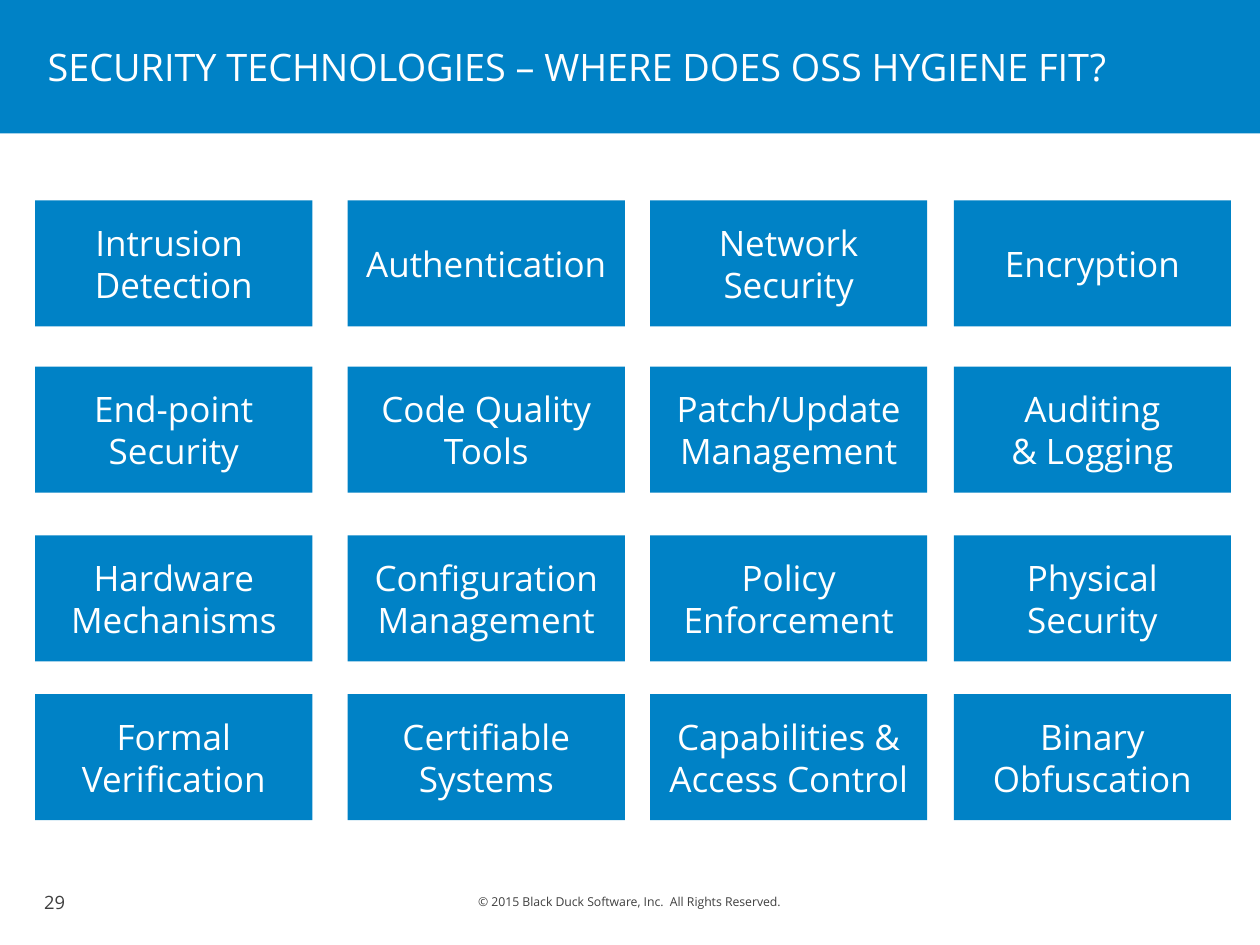
from pptx import Presentation
from pptx.dml.color import RGBColor
from pptx.enum.shapes import MSO_SHAPE
from pptx.enum.text import MSO_ANCHOR, PP_ALIGN
from pptx.util import Inches, Pt

COLORS = {"blue": "0082C6", "white": "FFFFFF", "gray": "3F3F3F"}
FONT = "Open Sans"
INSET = 0.04

# Technologies row by row; a line break starts a new paragraph
TECHNOLOGIES = [
    ["Intrusion \nDetection", "Authentication", "Network\nSecurity", "Encryption"],
    ["End-point\nSecurity", "Code Quality\nTools", "Patch/Update\nManagement",
     "Auditing\n& Logging"],
    ["Hardware\nMechanisms", "Configuration\nManagement", "Policy\nEnforcement",
     "Physical\nSecurity"],
    ["Formal\nVerification", "Certifiable\nSystems", "Capabilities &\nAccess Control",
     "Binary\nObfuscation"],
]
# Offsets of the columns and rows inside the grid; the gaps are uneven
COLUMN_OFFSETS = [0, 2.48, 4.88, 7.29]
ROW_OFFSETS = [0, 1.32, 2.66, 3.92]
TILE_WIDTH, TILE_HEIGHT = 2.2, 1


def color(name):
    return RGBColor.from_string(COLORS[name])


def write(shape, text, size, ink, align=PP_ALIGN.LEFT, anchor=MSO_ANCHOR.TOP,
          wrap=True, inset_x=INSET, inset_y=INSET):
    frame = shape.text_frame
    frame_format = {
        "word_wrap": wrap, "vertical_anchor": anchor,
        "margin_left": Inches(inset_x), "margin_right": Inches(inset_x),
        "margin_top": Inches(inset_y), "margin_bottom": Inches(inset_y),
    }
    for attribute, value in frame_format.items():
        setattr(frame, attribute, value)
    frame.text = text
    for paragraph in frame.paragraphs:
        paragraph.alignment = align
        for attribute, value in {"name": FONT, "size": Pt(size)}.items():
            setattr(paragraph.font, attribute, value)
        paragraph.font.color.rgb = color(ink)


def add_block(slide, left, top, width, height):
    block = slide.shapes.add_shape(MSO_SHAPE.RECTANGLE, Inches(left), Inches(top),
                                   Inches(width), Inches(height))
    block.shadow.inherit = False
    block.fill.solid()
    block.fill.fore_color.rgb = color("blue")
    block.line.fill.background()
    return block


def add_label(slide, left, top, width, height, *text_args, **text_format):
    label = slide.shapes.add_textbox(Inches(left), Inches(top),
                                     Inches(width), Inches(height))
    write(label, *text_args, **text_format)


def add_header(slide, left, top, width, height):
    add_block(slide, left, top, width, height)
    add_label(slide, left + 0.28, top + 0.21, width - 0.71, 0.63,
              "SECURITY TECHNOLOGIES – WHERE DOES OSS HYGIENE FIT?", 21.6, "white",
              anchor=MSO_ANCHOR.MIDDLE, inset_x=0.1, inset_y=0.05)


def add_technology_grid(slide, left, top):
    for row_offset, row in zip(ROW_OFFSETS, TECHNOLOGIES):
        for column_offset, technology in zip(COLUMN_OFFSETS, row):
            tile = add_block(slide, left + column_offset, top + row_offset,
                             TILE_WIDTH, TILE_HEIGHT)
            write(tile, technology, 20, "white", align=PP_ALIGN.CENTER,
                  anchor=MSO_ANCHOR.MIDDLE, wrap=False)


def add_footer(slide, left, top):
    # Page number and copyright line
    add_label(slide, left, top, 1.65, 0.31, "29", 10.5, "gray")
    add_label(slide, left + 2.64, top + 0.03, 4.09, 0.24,
              "© 2015 Black Duck Software, Inc.  All Rights Reserved.", 7, "gray",
              align=PP_ALIGN.CENTER)


def main():
    presentation = Presentation()
    presentation.slide_width = Inches(10)
    presentation.slide_height = Inches(7.5)
    slide = presentation.slides.add_slide(presentation.slide_layouts[6])
    add_header(slide, 0, 0, 10, 1.06)
    add_technology_grid(slide, 0.28, 1.59)
    add_footer(slide, 0.31, 7.03)
    presentation.save("out.pptx")


if __name__ == "__main__":
    main()
